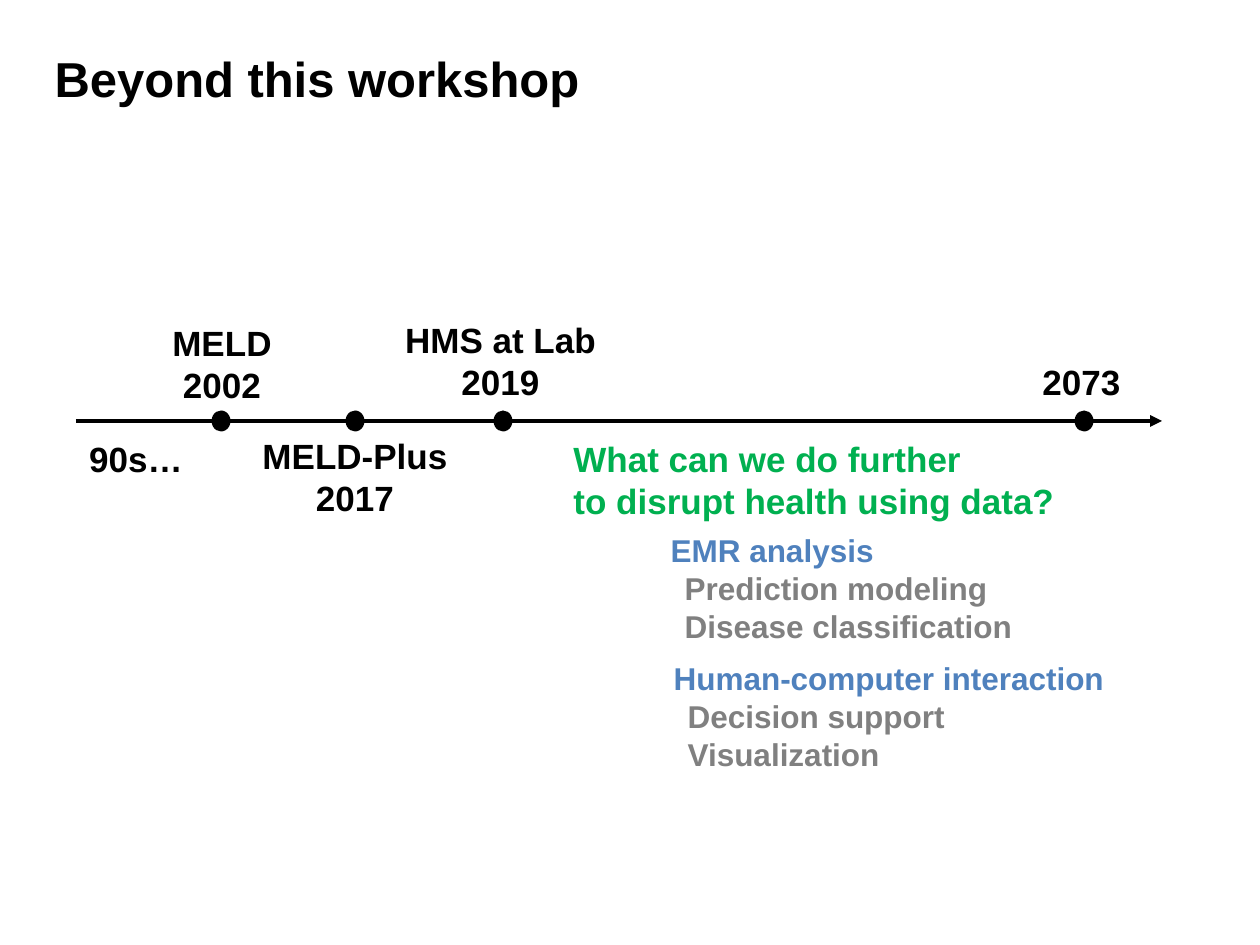
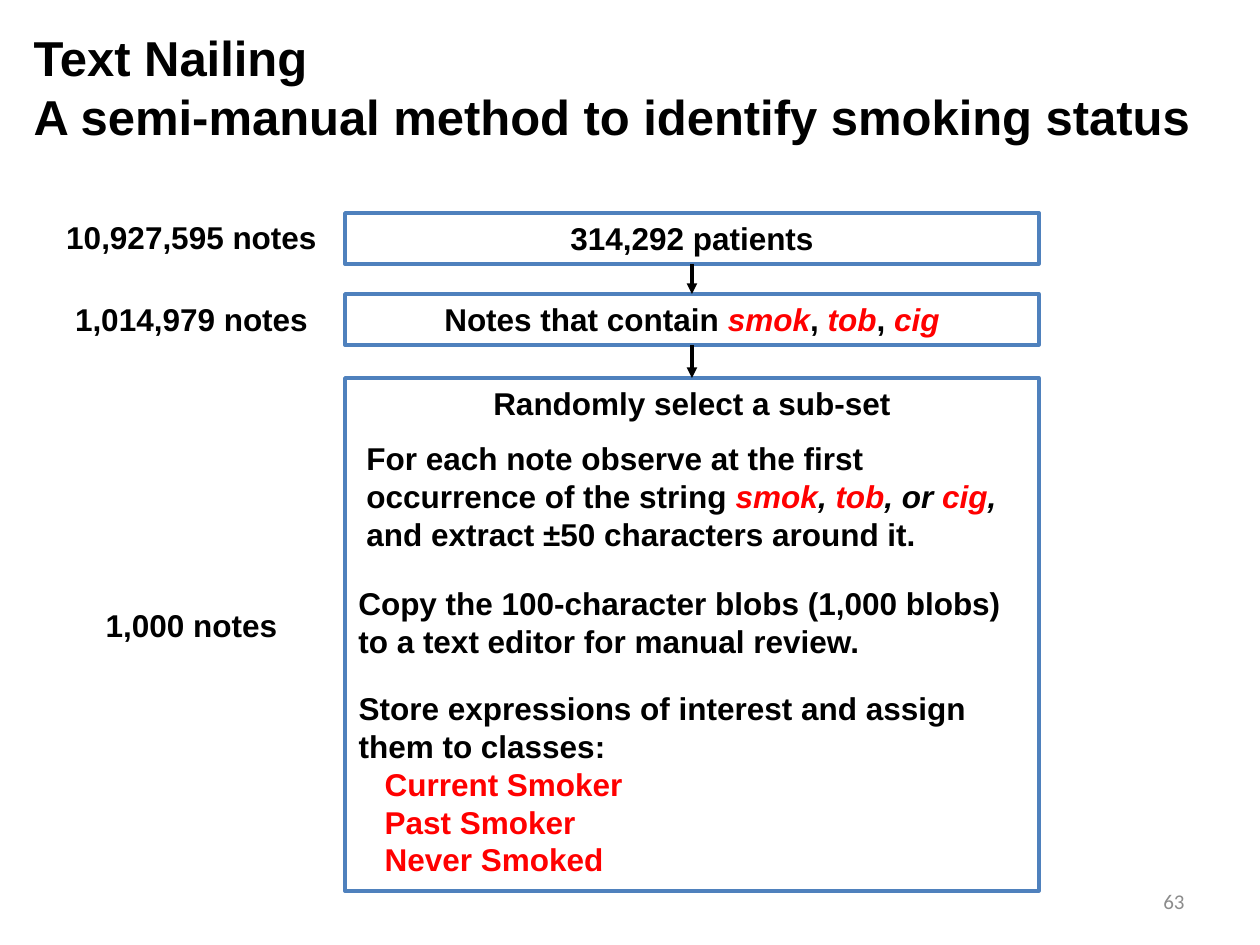
"""Builds two slides: a timeline of health data work and the Text Nailing method."""
from lxml import etree
from pptx import Presentation
from pptx.dml.color import RGBColor
from pptx.enum.shapes import MSO_CONNECTOR, MSO_SHAPE
from pptx.enum.text import MSO_ANCHOR, MSO_AUTO_SIZE, PP_ALIGN
from pptx.oxml.ns import qn
from pptx.util import Pt

LEFT, CENTER, RIGHT = PP_ALIGN.LEFT, PP_ALIGN.CENTER, PP_ALIGN.RIGHT
TOP, MIDDLE = MSO_ANCHOR.TOP, MSO_ANCHOR.MIDDLE
OVAL, RECTANGLE = MSO_SHAPE.OVAL, MSO_SHAPE.RECTANGLE
STRAIGHT = MSO_CONNECTOR.STRAIGHT
NO_AUTOSIZE = MSO_AUTO_SIZE.NONE

PX_PER_INCH = 126
BLACK, WHITE, BLUE, RED = "000000", "FFFFFF", "4F81BD", "FF0000"
GREEN, GRAY, NUMBER_GRAY = "00B050", "808080", "8C8C8C"
BOTTOM_SITE, TOP_SITE = 2, 0

# style: colour, italic, left indent in px
STYLES = {
    "plain": (BLACK, False, 0),
    "keyword": (RED, True, 0),
    "joiner": (BLACK, True, 0),
    "question": (GREEN, False, 0),
    "topic": (BLUE, False, 0),
    "task": (GRAY, False, 14),
    "class": (RED, False, 26),
    "number": (NUMBER_GRAY, False, 0),
}

TIMELINE_TITLE = ["Beyond this workshop"]
AXIS = (76, 421, 1162)
DOT_SIZE = (19, 21)
MILESTONE_DOTS = [221, 355, 503, 1084]
MILESTONES = [
    (["90s…"], (76, 431, 120, 55)),
    (["MELD", "2002"], (159, 315, 126, 97)),
    (["MELD-Plus", "2017"], (249, 428, 212, 97)),
    (["HMS at Lab", "2019"], (391, 312, 219, 97)),
    (["2073"], (1029, 354, 105, 55)),
]
QUESTION = [
    [("What can we do further", "question")],
    [("to disrupt health using data?", "question")],
]
QUESTION_PLACE = (561, 431, 510, 97)
TOPICS = [
    ("EMR analysis", ["Prediction modeling", "Disease classification"],
     (658, 525, 370, 127)),
    ("Human-computer interaction", ["Decision support", "Visualization"],
     (661, 653, 460, 127)),
]

METHOD_TITLE = ["Text Nailing", "A semi-manual method to identify smoking status"]
STEP_LEFT, STEP_WIDTH = 345, 694
COUNT_LEFT, COUNT_WIDTH, COUNT_HEIGHT = 53, 277, 50
STEPS = [
    (["314,292 patients"], 213, 51, "10,927,595 notes", 212),
    ([[("Notes that contain ", "plain"), ("smok", "keyword"), (", ", "plain"),
       ("tob", "keyword"), (", ", "plain"), ("cig", "keyword")]],
     294, 51, "1,014,979 notes", 294),
    (["Randomly select a sub-set"], 378, 513, "1,000 notes", 600),
]
OBSERVE = [[
    ("For each note observe at the first occurrence of the string ", "plain"),
    ("smok", "keyword"), (", ", "joiner"), ("tob", "keyword"),
    (", or ", "joiner"), ("cig", "keyword"), (",", "joiner"),
    (" and extract ±50 characters around it.", "plain"),
]]
COPY_BLOBS = [
    "Copy the 100-character blobs (1,000 blobs) to a text editor for manual review."
]
INSTRUCTIONS = [
    (OBSERVE, (354, 433, 675, 127)),
    (COPY_BLOBS, (346, 578, 683, 90)),
]
CLASSES = [
    "Store expressions of interest and assign them to classes:",
    [("Current Smoker", "class")],
    [("Past Smoker", "class")],
    [("Never Smoked", "class")],
]
CLASSES_PLACE = (346, 683, 683, 204)
PAGE_NUMBER = [[("63", "number")]]
PAGE_NUMBER_PLACE = (903, 876, 294, 50)


def px(length):
    """Turn px into EMU."""
    return round(length * 914400 / PX_PER_INCH)


def scaled(place):
    """Turn a tuple of px into EMU."""
    return [px(length) for length in place]


def rgb(value):
    """Turn a hex string into a colour."""
    return RGBColor.from_string(value)


def write(holder, paragraphs, size, align=LEFT, wrap=True, anchor=TOP,
          font="Arial", bold=True):
    """Fill a shape with paragraphs, each a string or a list of styled runs."""
    frame = holder.text_frame
    frame.word_wrap = wrap
    frame.auto_size = NO_AUTOSIZE
    frame.vertical_anchor = anchor
    for index, content in enumerate(paragraphs):
        runs = [(content, "plain")] if isinstance(content, str) else content
        paragraph = frame.paragraphs[0] if index == 0 else frame.add_paragraph()
        properties = paragraph._p.get_or_add_pPr()
        properties.set("marL", str(px(STYLES[runs[0][1]][2])))
        properties.set("indent", "0")
        etree.SubElement(properties, qn("a:buNone"))
        paragraph.alignment = align
        paragraph.space_before = Pt(0)
        for text, style in runs:
            run = paragraph.add_run()
            run.text = text
            colour, italic, _ = STYLES[style]
            run.font.name, run.font.size = font, Pt(size)
            run.font.bold, run.font.italic = bold, italic
            run.font.color.rgb = rgb(colour)


def add_text(slide, paragraphs, place, size, **options):
    """Add a text box."""
    write(slide.shapes.add_textbox(*scaled(place)), paragraphs, size, **options)


def fill_placeholder(slide, holder, paragraphs, place, size, **options):
    """Move a placeholder to the front, place it and fill it."""
    slide.shapes._spTree.append(holder._element)
    holder.left, holder.top, holder.width, holder.height = scaled(place)
    write(holder, paragraphs, size, **options)


def add_filled(slide, kind, place, fill, outline=None):
    """Add a flat preset shape."""
    shape = slide.shapes.add_shape(kind, *scaled(place))
    shape.shadow.inherit = False
    shape.fill.solid()
    shape.fill.fore_color.rgb = rgb(fill)
    if outline:
        shape.line.color.rgb = rgb(outline)
        shape.line.width = Pt(2)
    else:
        shape.line.fill.background()
    return shape


def add_arrow(slide, ends, width):
    """Add a black straight arrow without a shadow."""
    arrow = slide.shapes.add_connector(STRAIGHT, *scaled(ends))
    arrow.line.color.rgb = rgb(BLACK)
    arrow.line.width = Pt(width)
    etree.SubElement(arrow.line._get_or_add_ln(), qn("a:tailEnd"), type="triangle")
    etree.SubElement(arrow._element.spPr, qn("a:effectLst"))
    return arrow


def build_timeline(deck):
    """Build the timeline slide."""
    slide = deck.slides.add_slide(deck.slide_layouts[3])
    title, *topic_lists = list(slide.placeholders)
    fill_placeholder(slide, title, TIMELINE_TITLE, (42, 42, 1163, 72), 28)
    start, axis_y, end = AXIS
    add_arrow(slide, (start, axis_y, end, axis_y), 2.25)
    dot_width, dot_height = DOT_SIZE
    for middle in MILESTONE_DOTS:
        corner = (middle - dot_width / 2, axis_y - dot_height / 2)
        add_filled(slide, OVAL, (*corner, *DOT_SIZE), BLACK)
    for label, place in MILESTONES:
        add_text(slide, label, place, 20, align=CENTER, wrap=False)
    add_text(slide, QUESTION, QUESTION_PLACE, 20, wrap=False)
    for holder, (topic, tasks, place) in zip(topic_lists, TOPICS):
        outline = [[(topic, "topic")]] + [[(task, "task")] for task in tasks]
        fill_placeholder(slide, holder, outline, place, 18, wrap=False)


def build_method(deck):
    """Build the Text Nailing slide."""
    slide = deck.slides.add_slide(deck.slide_layouts[1])
    title, class_list = list(slide.placeholders)
    fill_placeholder(slide, title, METHOD_TITLE, (21, 21, 1187, 131), 28)
    previous = None
    for step, top, height, count, count_top in STEPS:
        box = add_filled(slide, RECTANGLE, (STEP_LEFT, top, STEP_WIDTH, height),
                         WHITE, BLUE)
        write(box, step, 18, align=CENTER)
        add_text(slide, [count], (COUNT_LEFT, count_top, COUNT_WIDTH, COUNT_HEIGHT),
                 18, align=CENTER)
        if previous:
            arrow = add_arrow(slide, (0, 0, 0, 0), 2)
            arrow.begin_connect(previous, BOTTOM_SITE)
            arrow.end_connect(box, TOP_SITE)
        previous = box
    for instruction, place in INSTRUCTIONS:
        add_text(slide, instruction, place, 18)
    fill_placeholder(slide, class_list, CLASSES, CLASSES_PLACE, 18)
    add_text(slide, PAGE_NUMBER, PAGE_NUMBER_PLACE, 12, align=RIGHT,
             anchor=MIDDLE, font="Calibri", bold=False)


def main():
    """Build and save the deck."""
    deck = Presentation()
    deck.slide_width, deck.slide_height = scaled((1260, 945))
    build_timeline(deck)
    build_method(deck)
    deck.save("out.pptx")


if __name__ == "__main__":
    main()
